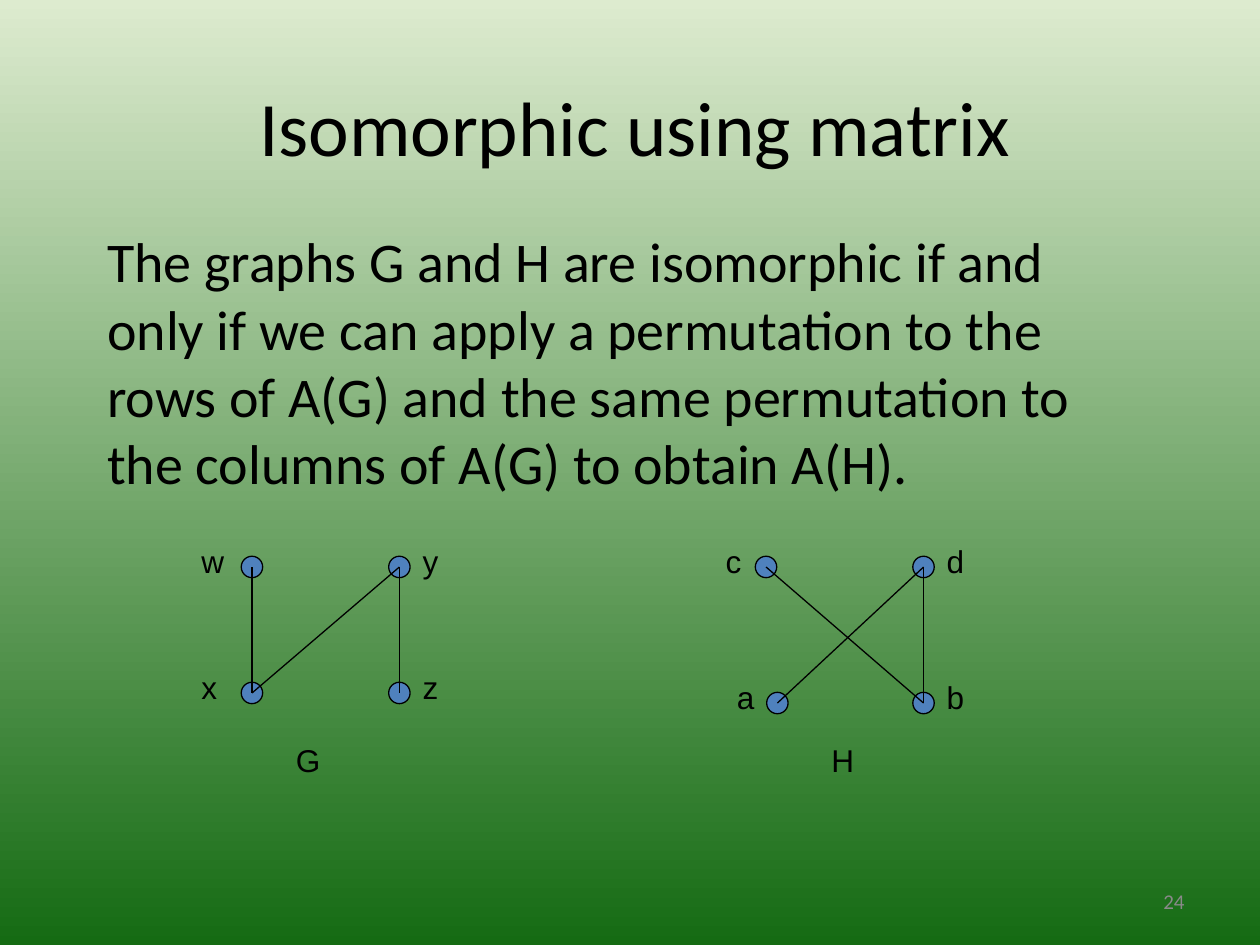
from lxml import etree
from pptx import Presentation
from pptx.dml.color import RGBColor
from pptx.enum import shapes, text
from pptx.oxml.ns import qn
from pptx.util import Inches, Pt

# Content
TITLE = "Isomorphic using matrix"
STATEMENT = ("The graphs G and H are isomorphic if and only if we can apply a "
             "permutation to the rows of A(G) and the same permutation to the "
             "columns of A(G) to obtain A(H).")
PAGE = "24"

# Nodes: letter -> (centre x, centre y, label side)
GRAPHS = [
    {"name": "G", "name_box": (2.25, 0.75), "left_gap": 0.5,
     "nodes": {"w": (2, 4.5, "left"), "x": (2, 5.5, "left"),
               "z": (3.17, 5.5, "right"), "y": (3.17, 4.5, "right")},
     "edges": ["wx", "xy", "yz"]},
    {"name": "H", "name_box": (6.5, 0.42), "left_gap": 0.42,
     "nodes": {"a": (6.17, 5.58, "left"), "b": (7.33, 5.58, "right"),
               "d": (7.33, 4.5, "right"), "c": (6.08, 4.5, "left")},
     "edges": ["ad", "db", "bc"]},
]

# Style
BLACK = RGBColor(0x00, 0x00, 0x00)
GRAY = RGBColor(0x89, 0x89, 0x89)
BLUE = RGBColor(0x4F, 0x81, 0xBD)
PALE_GREEN = RGBColor(0xDD, 0xEB, 0xCF)
DARK_GREEN = RGBColor(0x15, 0x6B, 0x13)
NODE = 0.17
LABEL_W, LABEL_H = 0.42, 0.4
NAME_TOP = 5.83


def place(shape, *box):
    shape.left, shape.top, shape.width, shape.height = map(Inches, box)


def write(shape, words, size, font="Calibri", color=BLACK,
          align=text.PP_ALIGN.LEFT, anchor=text.MSO_ANCHOR.TOP, before=0):
    frame = shape.text_frame
    frame.word_wrap = True
    frame.auto_size = text.MSO_AUTO_SIZE.NONE
    frame.vertical_anchor = anchor
    paragraph = frame.paragraphs[0]
    paragraph.alignment = align
    paragraph.space_before = Pt(before)
    run = paragraph.add_run()
    run.text = words
    run.font.size, run.font.name = Pt(size), font
    run.font.color.rgb = color
    return paragraph


def add_label(slide, words, left, top, width=LABEL_W):
    label = slide.shapes.add_textbox(*map(Inches, (left, top, width, LABEL_H)))
    write(label, words, 18, "Arial", before=11.2)


def add_node(slide, x, y):
    node = slide.shapes.add_shape(
        shapes.MSO_SHAPE.OVAL,
        *map(Inches, (x - NODE / 2, y - NODE / 2, NODE, NODE)))
    node.shadow.inherit = False
    node.fill.solid()
    node.fill.fore_color.rgb = BLUE
    node.line.color.rgb = BLACK
    node.line.width = Pt(0.75)


def add_edge(slide, start, end):
    edge = slide.shapes.add_connector(
        shapes.MSO_CONNECTOR.STRAIGHT, *map(Inches, start[:2] + end[:2]))
    edge.line.color.rgb = BLACK
    edge.line.width = Pt(0.75)
    etree.SubElement(edge._element.spPr, qn("a:effectLst"))


def add_graph(slide, graph):
    nodes = graph["nodes"]
    for x, y, _ in nodes.values():
        add_node(slide, x, y)
    for start, end in graph["edges"]:
        add_edge(slide, nodes[start], nodes[end])
    for letter, (x, y, side) in nodes.items():
        left = x - graph["left_gap"] if side == "left" else x + NODE / 2
        add_label(slide, letter, left, y - 0.25)
    name_left, name_width = graph["name_box"]
    add_label(slide, graph["name"], name_left, NAME_TOP, name_width)


def main():
    deck = Presentation()
    deck.slide_width, deck.slide_height = Inches(10), Inches(7.5)
    slide = deck.slides.add_slide(deck.slide_layouts[1])

    # Background, light at the top
    backdrop = slide.background.fill
    backdrop.gradient()
    backdrop.gradient_angle = 270
    for stop, color, position in zip(backdrop.gradient_stops,
                                     (PALE_GREEN, DARK_GREEN), (0, 1)):
        stop.color.rgb = color
        stop.position = position

    # Title and statement
    title, statement = slide.placeholders
    place(title, 0.5, 0.58, 9.08, 0.83)
    write(title, TITLE, 44, align=text.PP_ALIGN.CENTER,
          anchor=text.MSO_ANCHOR.MIDDLE)
    place(statement, 0.75, 1.75, 8.5, 2.33)
    properties = write(statement, STATEMENT, 32, before=8)._p.get_or_add_pPr()
    properties.set("marL", "0")
    properties.set("indent", "0")
    etree.SubElement(properties, qn("a:buNone"))

    # Graphs
    for graph in GRAPHS:
        add_graph(slide, graph)

    # Page number
    page = slide.shapes.add_textbox(*map(Inches, (7.17, 6.95, 2.33, 0.4)))
    write(page, PAGE, 12, color=GRAY, align=text.PP_ALIGN.RIGHT,
          anchor=text.MSO_ANCHOR.MIDDLE)

    deck.save("out.pptx")


if __name__ == "__main__":
    main()
